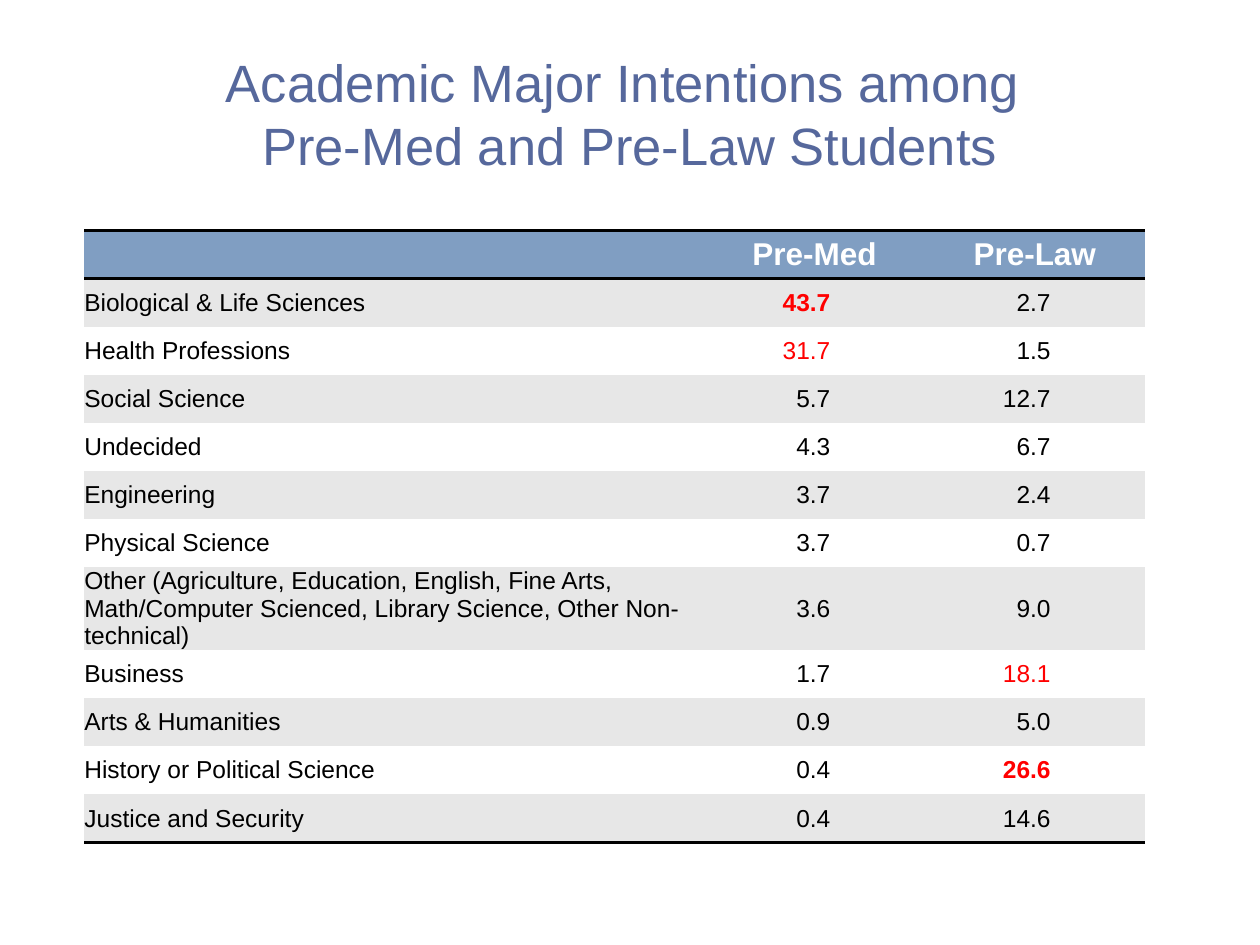
import pptx
import pptx.util
import pptx.dml.color
import pptx.enum.shapes
import pptx.enum.text
import pptx.oxml
import pptx.oxml.ns

Cm = pptx.util.Cm
Pt = pptx.util.Pt
RGBColor = pptx.dml.color.RGBColor
ALIGN = pptx.enum.text.PP_ALIGN
MIDDLE = pptx.enum.text.MSO_ANCHOR.MIDDLE

WHITE = RGBColor(0xFF, 0xFF, 0xFF)
BLACK = RGBColor(0x00, 0x00, 0x00)
RED = RGBColor(0xFF, 0x00, 0x00)
TITLE_BLUE = RGBColor(0x56, 0x68, 0x9C)
HEADER_BLUE = RGBColor(0x80, 0x9E, 0xC2)
BAND_GRAY = RGBColor(0xE7, 0xE7, 0xE7)

FONT = "Arial"
NO_STYLE = "{2D5ABB26-0587-4C30-8999-92F81FD0307C}"
TITLE_LINES = ["Academic Major Intentions among ", "Pre-Med and Pre-Law Students"]
GROUPS = ["Pre-Med", "Pre-Law"]
MAJORS = [
    ("Biological & Life Sciences", "43.7", "2.7"),
    ("Health Professions", "31.7", "1.5"),
    ("Social Science", "5.7", "12.7"),
    ("Undecided", "4.3", "6.7"),
    ("Engineering", "3.7", "2.4"),
    ("Physical Science", "3.7", "0.7"),
    ("Other (Agriculture, Education, English, Fine Arts, Math/Computer Scienced, "
     "Library Science, Other Non-technical)", "3.6", "9.0"),
    ("Business", "1.7", "18.1"),
    ("Arts & Humanities", "0.9", "5.0"),
    ("History or Political Science", "0.4", "26.6"),
    ("Justice and Security", "0.4", "14.6"),
]
HIGHLIGHTS = {"43.7", "31.7", "18.1", "26.6"}
LEADERS = {"43.7", "26.6"}
COLUMN_WIDTHS = [12.5, 2.54, 1.9, 2.54, 1.9]
ROW_HEIGHT = 0.97
TALL_ROW_HEIGHT = 1.32
TALL_ROW = 7


def write_text(para, text, size=14, color=BLACK, bold=False, align=ALIGN.LEFT):
    para.alignment = align
    span = para.add_run()
    span.text = text
    span.font.name = FONT
    span.font.size = Pt(size)
    span.font.bold = bold
    span.font.color.rgb = color


def add_border(cell, side):
    line = pptx.oxml.parse_xml(
        f'<a:ln{side} {pptx.oxml.ns.nsdecls("a")} w="{Pt(2)}">'
        f'<a:solidFill><a:srgbClr val="{BLACK}"/></a:solidFill></a:ln{side}>')
    cell._tc.get_or_add_tcPr().insert(0, line)


def format_cell(cell, fill, borders=""):
    cell.margin_left = cell.margin_right = cell.margin_top = cell.margin_bottom = 0
    cell.vertical_anchor = MIDDLE
    cell.fill.solid()
    cell.fill.fore_color.rgb = fill
    for side in borders:
        add_border(cell, side)


def add_title(page, left, top, width, height):
    box = page.shapes.add_shape(
        pptx.enum.shapes.MSO_SHAPE.RECTANGLE, left, top, width, height)
    box.shadow.inherit = False
    box.fill.solid()
    box.fill.fore_color.rgb = WHITE
    box.line.fill.background()
    frame = box.text_frame
    frame.word_wrap = True
    frame.vertical_anchor = MIDDLE
    for index, text in enumerate(TITLE_LINES):
        para = frame.add_paragraph() if index else frame.paragraphs[0]
        write_text(para, text, size=30, color=TITLE_BLUE, align=ALIGN.CENTER)


def add_majors_table(page, left, top, width, height):
    row_count = len(MAJORS) + 1
    table = page.shapes.add_table(
        row_count, len(COLUMN_WIDTHS), left, top, width, height).table
    table.first_row = False
    table.horz_banding = False
    table._tbl.tblPr.find(pptx.oxml.ns.qn("a:tableStyleId")).text = NO_STYLE

    for column, column_width in zip(table.columns, COLUMN_WIDTHS):
        column.width = Cm(column_width)
    for index, row in enumerate(table.rows):
        row.height = Cm(TALL_ROW_HEIGHT if index == TALL_ROW else ROW_HEIGHT)
        if index == 0:
            fill, borders = HEADER_BLUE, "BT"
        else:
            fill = BAND_GRAY if index % 2 else WHITE
            borders = "B" if index == row_count - 1 else ""
        for cell in row.cells:
            format_cell(cell, fill, borders)

    for column, group in zip((1, 3), GROUPS):
        header = table.cell(0, column)
        header.merge(table.cell(0, column + 1))
        write_text(header.text_frame.paragraphs[0], group, size=18,
                   color=WHITE, bold=True, align=ALIGN.CENTER)
    for index, (major, *shares) in enumerate(MAJORS, start=1):
        write_text(table.cell(index, 0).text_frame.paragraphs[0], major)
        for column, share in zip((1, 3), shares):
            write_text(table.cell(index, column).text_frame.paragraphs[0], share,
                       color=RED if share in HIGHLIGHTS else BLACK,
                       bold=share in LEADERS, align=ALIGN.RIGHT)


def main():
    deck = pptx.Presentation()
    deck.slide_width = Cm(25.4)
    deck.slide_height = Cm(19.05)
    page = deck.slides.add_slide(deck.slide_layouts[6])
    add_majors_table(page, Cm(1.7), Cm(4.65), Cm(21.38), Cm(12))
    add_title(page, Cm(1.27), Cm(0.76), Cm(22.86), Cm(3.05))
    deck.save("out.pptx")


if __name__ == "__main__":
    main()
